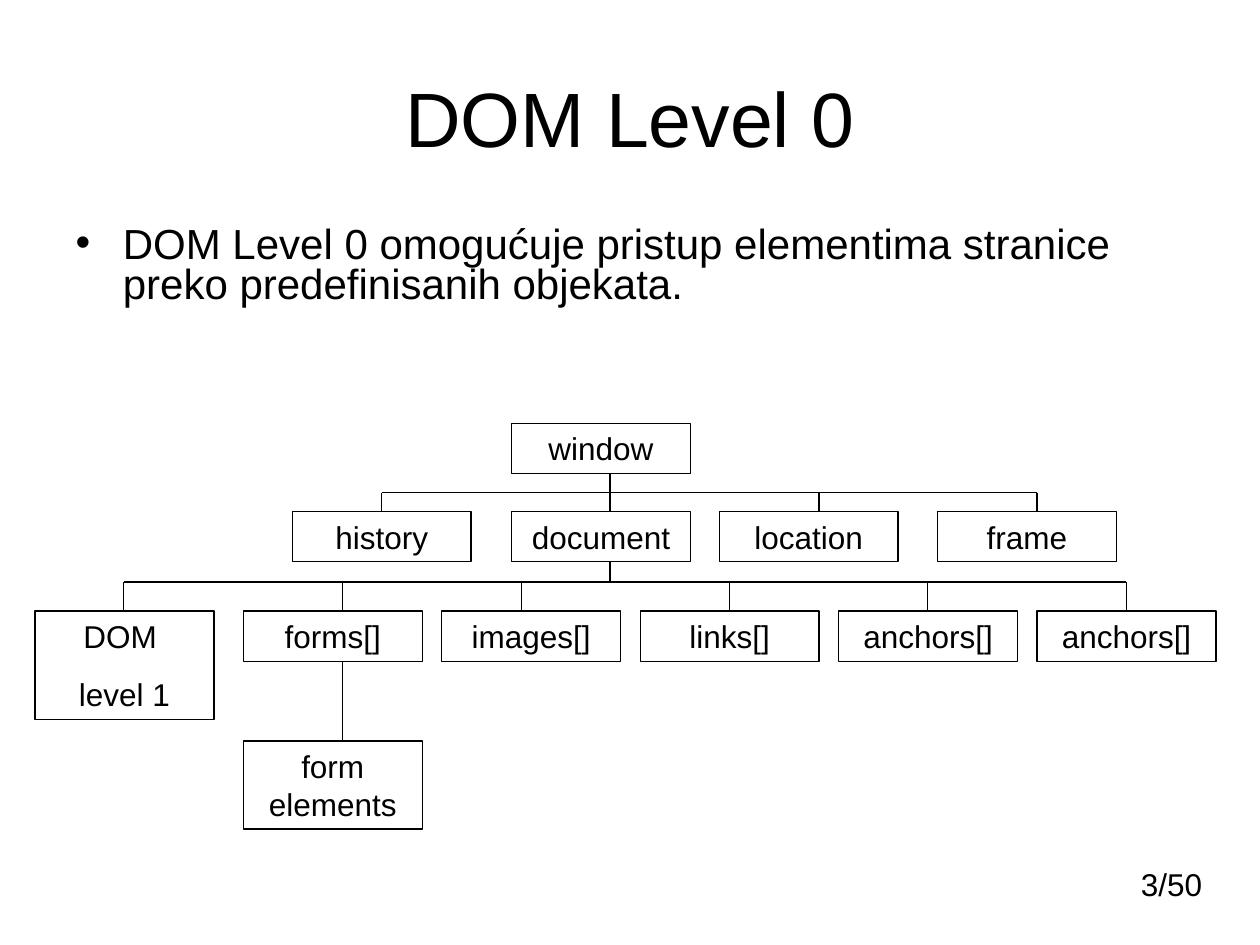
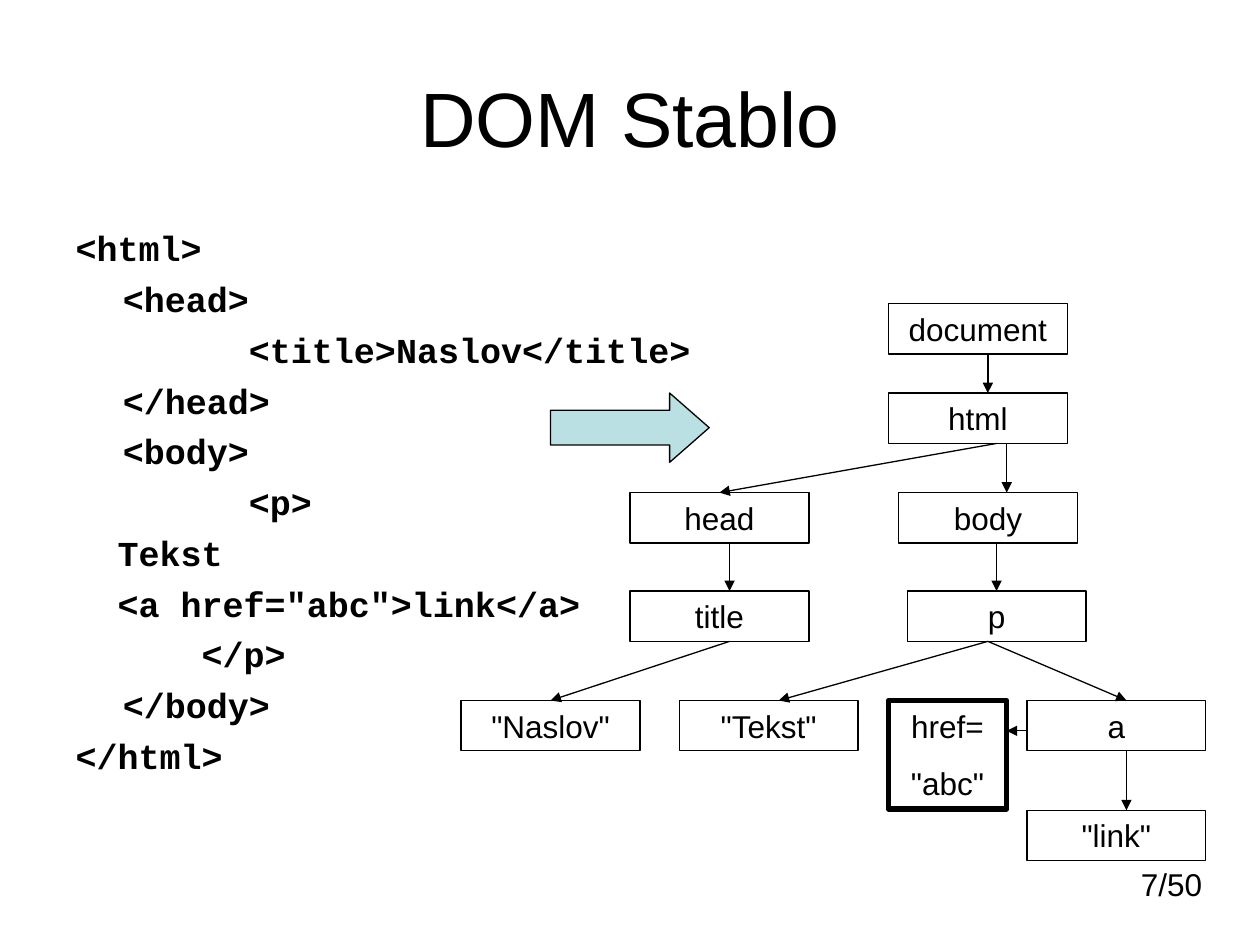
from dataclasses import dataclass

import lxml.etree
import pptx
import pptx.dml.color
import pptx.enum.shapes
import pptx.enum.text
import pptx.oxml.ns
import pptx.util

Pt = pptx.util.Pt
BLACK = "000000"
PALE_TEAL = "BBE0E3"
SANS = "Arial"
MONO = "Courier New"
PAGE_COUNT = 50
NODE_WIDTH = 102.24
NODE_HEIGHT = 28.8
TALL_HEIGHT = 62
CHARACTER_WIDTH = 12
TAB_INDENT = 27
DEEP_INDENT = 99


@dataclass
class Node:
    lines: list[str]
    left: float
    top: float
    width: float = NODE_WIDTH
    height: float = NODE_HEIGHT
    border: float = 0.75


@dataclass
class Segment:
    start: tuple[float, float]
    end: tuple[float, float]


@dataclass
class Branch:
    trunk_left: float
    trunk_top: float
    trunk_bottom: float
    bus_top: float
    drop_bottom: float
    drops: list[float]


@dataclass
class CodeLine:
    text: str
    indent: float = 0


def color(value: str) -> pptx.dml.color.RGBColor:
    return pptx.dml.color.RGBColor.from_string(value)


def add_span(para, text: str, size: float, font: str = SANS, bold: bool = False) -> None:
    span = para.add_run()
    span.text = text
    span.font.name = font
    span.font.size = Pt(size)
    span.font.bold = bold
    span.font.color.rgb = color(BLACK)


def next_para(frame, index: int):
    return frame.paragraphs[0] if index == 0 else frame.add_paragraph()


def place(shape, left: float, top: float, width: float, height: float) -> None:
    shape.left, shape.top = Pt(left), Pt(top)
    shape.width, shape.height = Pt(width), Pt(height)


def add_page(deck, title: str, number: int):
    page = deck.slides.add_slide(deck.slide_layouts[1])
    place(page.shapes.title, 36, 21.6, 648, 90)
    frame = page.shapes.title.text_frame
    frame.auto_size = pptx.enum.text.MSO_AUTO_SIZE.NONE
    frame.vertical_anchor = pptx.enum.text.MSO_ANCHOR.MIDDLE
    frame.paragraphs[0].alignment = pptx.enum.text.PP_ALIGN.CENTER
    add_span(frame.paragraphs[0], title, 44)

    footer = page.shapes.add_textbox(Pt(535.7), Pt(491), Pt(158.4), Pt(28.8))
    footer.text_frame.word_wrap = True
    para = footer.text_frame.paragraphs[0]
    para.alignment = pptx.enum.text.PP_ALIGN.RIGHT
    add_span(para, f"{number}/{PAGE_COUNT}", 18)
    return page


def body_frame(page, width: float, height: float):
    body = page.placeholders[1]
    place(body, 36, 126, width, height)
    body.text_frame.auto_size = pptx.enum.text.MSO_AUTO_SIZE.NONE
    return body.text_frame


def add_outlined(page, kind, left: float, top: float, width: float, height: float, border: float):
    shape = page.shapes.add_shape(kind, Pt(left), Pt(top), Pt(width), Pt(height))
    shape.shadow.inherit = False
    shape.line.color.rgb = color(BLACK)
    shape.line.width = Pt(border)
    return shape


def draw_node(page, node: Node) -> None:
    box = add_outlined(page, pptx.enum.shapes.MSO_SHAPE.RECTANGLE,
                       node.left, node.top, node.width, node.height, node.border)
    box.fill.background()
    frame = box.text_frame
    frame.word_wrap = True
    frame.vertical_anchor = pptx.enum.text.MSO_ANCHOR.TOP
    for index, line in enumerate(node.lines):
        para = next_para(frame, index)
        para.alignment = pptx.enum.text.PP_ALIGN.CENTER
        para.space_before = Pt(11.2)
        add_span(para, line, 18)


def draw_segment(page, segment: Segment, arrow: bool = False) -> None:
    connector = page.shapes.add_connector(
        pptx.enum.shapes.MSO_CONNECTOR.STRAIGHT,
        *(Pt(value) for value in segment.start + segment.end))
    connector.line.color.rgb = color(BLACK)
    connector.line.width = Pt(0.75)
    if arrow:
        outline = connector.line._get_or_add_ln()
        lxml.etree.SubElement(outline, pptx.oxml.ns.qn("a:tailEnd"), type="triangle")
    properties = connector._element.spPr
    lxml.etree.SubElement(properties, pptx.oxml.ns.qn("a:effectLst"))


def draw_branch(page, branch: Branch) -> None:
    bus = branch.bus_top
    draw_segment(page, Segment((min(branch.drops), bus), (max(branch.drops), bus)))
    draw_segment(page, Segment((branch.trunk_left, branch.trunk_top),
                               (branch.trunk_left, branch.trunk_bottom)))
    for left in branch.drops:
        draw_segment(page, Segment((left, bus), (left, branch.drop_bottom)))


def build_level_page(deck) -> None:
    page = add_page(deck, "DOM Level 0", 3)
    para = body_frame(page, 658.8, 132.5).paragraphs[0]
    para.line_spacing = 0.8
    para.space_before = Pt(6)
    add_span(para, "DOM Level 0 omogućuje pristup elementima stranice "
                   "preko predefinisanih objekata.", 24)

    window_top, object_top, collection_top, element_top = 241.9, 292.3, 349.2, 423.4
    document_left, forms_left, collection_step = 292.3, 139, 113.4
    objects = {"history": 167, "document": document_left, "location": 411, "frame": 535.7}
    collections = ["forms[]", "images[]", "links[]", "anchors[]", "anchors[]"]
    nodes = [
        Node(["window"], document_left, window_top),
        *(Node([name], left, object_top) for name, left in objects.items()),
        Node(["DOM ", "level 1"], 20, collection_top, height=TALL_HEIGHT),
        *(Node([name], forms_left + index * collection_step, collection_top)
          for index, name in enumerate(collections)),
        Node(["form elements"], forms_left, element_top, height=50.4),
    ]
    for node in nodes:
        draw_node(page, node)

    trunk, forms_drop = 348.5, 195.8
    draw_branch(page, Branch(trunk, window_top + NODE_HEIGHT, object_top, 281.5,
                             object_top, [218.2, 468, 592.6]))
    draw_branch(page, Branch(trunk, object_top + NODE_HEIGHT, 332.6, 332.6, collection_top,
                             [70.6, forms_drop, 298, 416.9, 529.9, 643.7]))
    draw_segment(page, Segment((forms_drop, collection_top + NODE_HEIGHT),
                               (forms_drop, element_top)))


def write_code(page, lines: list[CodeLine]) -> None:
    frame = body_frame(page, 648, 356.4)
    for index, line in enumerate(lines):
        para = next_para(frame, index)
        para.space_before = Pt(5)
        properties = para._p.get_or_add_pPr()
        properties.set("marL", str(Pt(line.indent)))
        properties.set("indent", "0")
        lxml.etree.SubElement(properties, pptx.oxml.ns.qn("a:buNone"))
        add_span(para, line.text, 20, MONO, True)


def build_tree_page(deck) -> None:
    page = add_page(deck, "DOM Stablo", 7)
    write_code(page, [
        CodeLine("<html>"),
        CodeLine("<head>", TAB_INDENT),
        CodeLine("<title>Naslov</title>", DEEP_INDENT),
        CodeLine("</head>", TAB_INDENT),
        CodeLine("<body>", TAB_INDENT),
        CodeLine("<p>", DEEP_INDENT),
        CodeLine("Tekst", 2 * CHARACTER_WIDTH),
        CodeLine('<a href="abc">link</a>', 2 * CHARACTER_WIDTH),
        CodeLine("</p>", 6 * CHARACTER_WIDTH),
        CodeLine("</body>", TAB_INDENT),
        CodeLine("</html>"),
    ])

    arrow = add_outlined(page, pptx.enum.shapes.MSO_SHAPE.RIGHT_ARROW,
                         314.6, 224.6, 90.7, 39.6, 0.75)
    arrow.adjustments[1] = 0.571
    arrow.fill.solid()
    arrow.fill.fore_color.rgb = color(PALE_TEAL)

    document_top, html_top, section_top = 173.5, 224.6, 281.5
    content_top, leaf_top, link_top = 337.7, 400.3, 463
    root_left, head_left, anchor_left = 507.6, 360, 586.8
    nodes = [
        Node(["document"], root_left, document_top),
        Node(["html"], root_left, html_top),
        Node(["head"], head_left, section_top),
        Node(["body"], 513.4, section_top),
        Node(["title"], head_left, content_top),
        Node(["p"], 518.4, content_top),
        Node(['"Naslov"'], 263.5, leaf_top),
        Node(['"Tekst"'], 388.1, leaf_top),
        Node(["href=", '"abc"'], root_left, leaf_top, 67.7, TALL_HEIGHT, 3),
        Node(["a"], anchor_left, leaf_top),
        Node(['"link"'], anchor_left, link_top),
    ]
    for node in nodes:
        draw_node(page, node)

    html_bottom, section_bottom, content_bottom, leaf_bottom = (
        top + NODE_HEIGHT for top in (html_top, section_top, content_top, leaf_top))
    arrows = [
        Segment((564.5, document_top + NODE_HEIGHT), (564.5, html_top)),
        Segment((569.5, html_bottom), (411.1, section_top)),
        Segment((575.3, html_bottom), (575.3, section_top)),
        Segment((416.9, section_bottom), (416.9, content_top)),
        Segment((569.5, section_bottom), (569.5, content_top)),
        Segment((416.9, content_bottom), (314.6, leaf_top)),
        Segment((564.5, content_bottom), (643.7, leaf_top)),
        Segment((564.5, content_bottom), (445, leaf_top)),
        Segment((643.7, leaf_bottom), (643.7, link_top)),
        Segment((anchor_left, 417.6), (575.3, 417.6)),
    ]
    for segment in arrows:
        draw_segment(page, segment, arrow=True)


def main() -> None:
    deck = pptx.Presentation()
    deck.slide_width, deck.slide_height = Pt(720), Pt(540)
    build_level_page(deck)
    build_tree_page(deck)
    deck.save("out.pptx")


if __name__ == "__main__":
    main()
